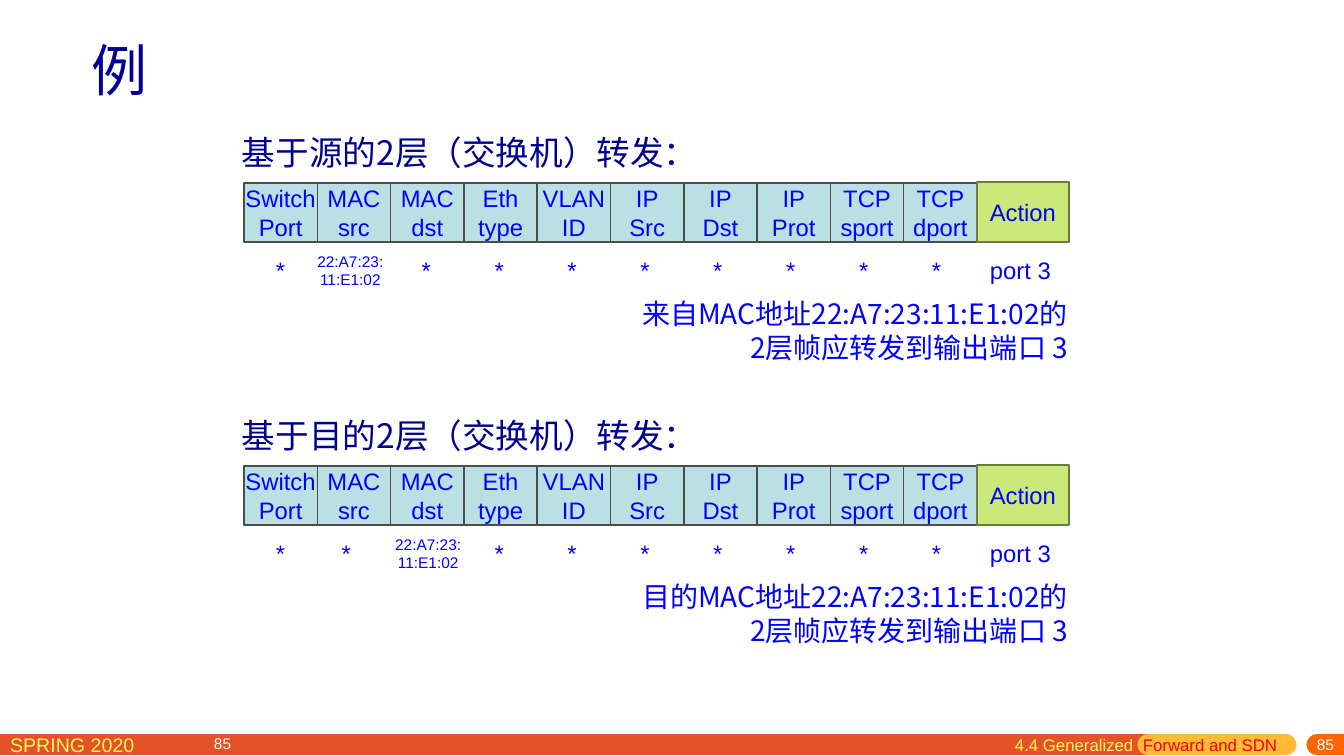
from lxml import etree
from pptx import Presentation
from pptx import util as u
from pptx.dml.color import RGBColor
from pptx.enum import shapes, text
from pptx.oxml.ns import qn

NAVY = RGBColor(0x00, 0x00, 0x99)
HEADING_BLUE = RGBColor(0x00, 0x00, 0x90)
BLUE = RGBColor(0x00, 0x00, 0xFF)
RED = RGBColor(0xFF, 0x00, 0x00)
WHITE = RGBColor(0xFF, 0xFF, 0xFF)
YELLOW = RGBColor(0xFF, 0xF6, 0x5C)
FIELD_FILL = RGBColor(0xBB, 0xE0, 0xE3)
FIELD_LINE = RGBColor(0x4C, 0x4C, 0x4C)
ACTION_FILL = RGBColor(0xCB, 0xE9, 0x7B)
ACTION_LINE = RGBColor(0x69, 0x7D, 0x3A)
BAR_RED = RGBColor(0xE4, 0x53, 0x27)
BAR_AMBER = RGBColor(0xFF, 0xBA, 0x37)
BAR_ORANGE = RGBColor(0xFF, 0x66, 0x00)
LATIN, CHINESE = "Arial", "Noto Sans CJK SC"

# Content
TITLE = "例"
FIELDS = ["Switch\nPort", "MAC\nsrc", "MAC\ndst", "Eth\ntype", "VLAN\nID",
          "IP\nSrc", "IP\nDst", "IP\nProt", "TCP\nsport", "TCP\ndport"]
ADDRESS = "22:A7:23:\n11:E1:02"
# "shifts" moves single values sideways, in px, from their column's middle
EXAMPLES = [
    {"heading": "基于源的2层（交换机）转发：", "address_column": 1, "shifts": {1: -3},
     "note": "来自MAC地址22:A7:23:11:E1:02的2层帧应转发到输出端口 3"},
    {"heading": "基于目的2层（交换机）转发：", "address_column": 2, "shifts": {1: -7, 2: 2},
     "note": "目的MAC地址22:A7:23:11:E1:02的2层帧应转发到输出端口 3"},
]
BARS = [(0, 1148, BAR_RED), (1148, 1286, BAR_AMBER), (1317, 1344, BAR_ORANGE)]
PAGE_NUMBER = "85"
SECTION = [("4.4 Generalized  ", YELLOW), ("Forward and SDN", RED)]

# Layout, in px
SCALE = u.Inches(1) / 100.8
PAGE_SIZE = (1344, 756)
TABLE_LEFT, FIELDS_WIDTH, VALUES_WIDTH = 244, 733, 729
EXAMPLE_TOP, EXAMPLE_STEP = 132, 283
PAGE_INSETS = (10, 0, 10, 5)

deck = Presentation()
deck.slide_width, deck.slide_height = (round(side * SCALE) for side in PAGE_SIZE)
page = deck.slides.add_slide(deck.slide_layouts[6])


def emu(*lengths):
    return [round(length * SCALE) for length in lengths]


def write(shape, content, size=17, color=BLUE, font=LATIN, align="LEFT",
          anchor="MIDDLE", insets=(0, 0, 0, 0), wrap=True):
    """Fill a shape with text: a string, or one line of (text, color) spans."""
    frame = shape.text_frame
    frame.word_wrap = wrap
    frame.vertical_anchor = text.MSO_ANCHOR[anchor]
    (frame.margin_left, frame.margin_top,
     frame.margin_right, frame.margin_bottom) = emu(*insets)
    if isinstance(content, str):
        lines = [[(line, color)] for line in content.split("\n")]
    else:
        lines = [content]
    for number, spans in enumerate(lines):
        para = frame.add_paragraph() if number else frame.paragraphs[0]
        para.alignment = text.PP_ALIGN[align]
        for words, span_color in spans:
            span = para.add_run()
            span.text = words
            span.font.size = u.Pt(size)
            span.font.name = font
            span.font.color.rgb = span_color
            east_asian = etree.SubElement(span.font._element, qn("a:ea"))
            east_asian.set("typeface", font)


def add_text(content, left, top, width, height, **style):
    write(page.shapes.add_textbox(*emu(left, top, width, height)), content, **style)


def add_cell(label, left, top, width, height, fill, line):
    cell = page.shapes.add_shape(shapes.MSO_SHAPE.RECTANGLE, *emu(left, top, width, height))
    cell.shadow.inherit = False
    cell.fill.solid()
    cell.fill.fore_color.rgb = fill
    cell.line.color.rgb = line
    cell.line.width = u.Pt(1)
    write(cell, label, align="CENTER", wrap=False)


def add_bar(start, end, color):
    bar = page.shapes.add_connector(shapes.MSO_CONNECTOR.STRAIGHT, *emu(start, 745, end, 745))
    bar.line.color.rgb = color
    bar.line.width = u.Pt(15)
    bar.line._get_or_add_ln().set("cap", "rnd")
    etree.SubElement(bar._element.spPr, qn("a:effectLst"))


def add_example(example, top):
    add_text(example["heading"], 242, top, 520, 40, size=24, color=HEADING_BLUE, font=CHINESE)

    # Header cells
    pitch = FIELDS_WIDTH / len(FIELDS)
    for column, label in enumerate(FIELDS):
        add_cell(label, TABLE_LEFT + column * pitch, top + 51, pitch, 59, FIELD_FILL, FIELD_LINE)
    add_cell("Action", TABLE_LEFT + FIELDS_WIDTH, top + 50, 92, 60, ACTION_FILL, ACTION_LINE)

    # Matched values
    pitch = VALUES_WIDTH / len(FIELDS)
    for column in range(len(FIELDS)):
        is_address = column == example["address_column"]
        left = TABLE_LEFT + column * pitch + example["shifts"].get(column, 0)
        add_text(ADDRESS if is_address else "*", left, top + 121, pitch, 35,
                 size=11 if is_address else 17, align="CENTER")
    add_text("port 3", 984, top + 121, 73, 35, align="CENTER")

    add_text(example["note"], 640, top + 164, 428, 68, size=20, font=CHINESE, align="RIGHT")


# Footer
for bar_start, bar_end, bar_color in BARS:
    add_bar(bar_start, bar_end, bar_color)
add_text("SPRING 2020", 0, 728, 231, 31, size=14, color=YELLOW, anchor="TOP",
         insets=(10, 5, 10, 5))
add_text(PAGE_NUMBER, 1084, 738, 260, 18, size=11, color=WHITE, align="RIGHT",
         insets=PAGE_INSETS)
add_text(PAGE_NUMBER, 204, 737, 260, 18, size=11, color=WHITE, insets=PAGE_INSETS)
add_text(SECTION, 1005, 730, 285, 31, size=12, anchor="TOP", insets=(10, 5, 10, 5))

# Title and the two forwarding examples
add_text(TITLE, 82, 29, 1180, 81, size=40, color=NAVY, font=CHINESE, insets=(10, 5, 10, 5))
for order, forwarding in enumerate(EXAMPLES):
    add_example(forwarding, EXAMPLE_TOP + order * EXAMPLE_STEP)

deck.save("out.pptx")
